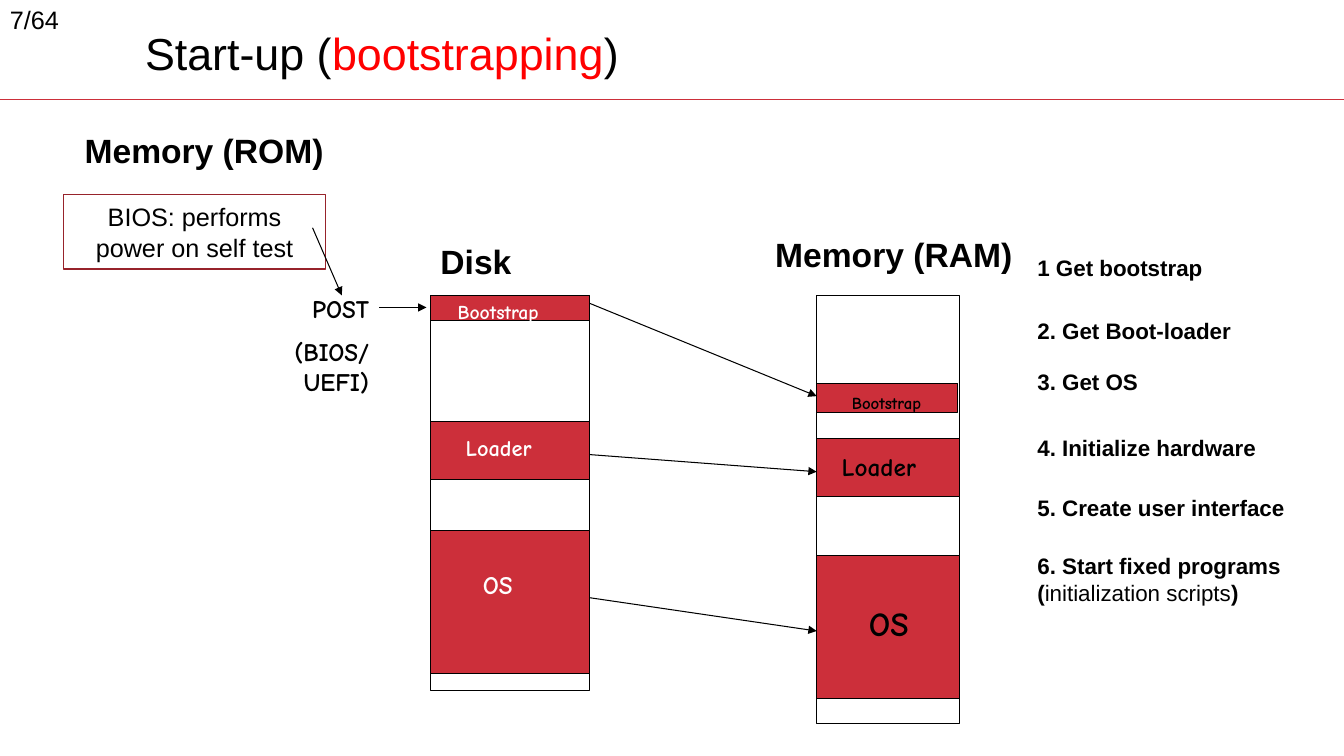
from dataclasses import dataclass
from typing import Optional

import lxml.etree
import pptx
import pptx.dml.color
import pptx.enum.shapes
import pptx.enum.text
import pptx.oxml.ns
import pptx.util

PX = 9144
ALIGN = pptx.enum.text.PP_ALIGN
ANCHOR = pptx.enum.text.MSO_ANCHOR


@dataclass(frozen=True)
class Theme:
    sans: str = "Arial"
    comic: str = "Comic Neue"
    black: str = "000000"
    white: str = "FFFFFF"
    block: str = "CC2F3A"
    accent: str = "FF0000"
    bios_edge: str = "97232B"
    title: int = 32
    heading: int = 24
    body: int = 18
    step: int = 16
    small: int = 14
    tiny: int = 12
    thin: float = 0.75
    rule: float = 1


THEME = Theme()


@dataclass(frozen=True)
class Box:
    left: int
    top: int
    width: int
    height: int


@dataclass(frozen=True)
class Run:
    text: str
    size: int
    color: str = THEME.black
    bold: bool = False
    font: str = THEME.sans


@dataclass(frozen=True)
class Label:
    box: Box
    paragraphs: list[list[Run]]
    align: ALIGN = ALIGN.LEFT
    anchor: ANCHOR = ANCHOR.TOP
    space_before: float = 0
    line_spacing: float = 1


@dataclass(frozen=True)
class Block:
    top: int
    height: int
    text: str
    size: int
    text_box: Box
    trim: int = 0


@dataclass(frozen=True)
class Store:
    box: Box
    text_color: str
    blocks: list[Block]


@dataclass(frozen=True)
class Arrow:
    x1: int
    y1: int
    x2: int
    y2: int


def rgb(color: str):
    return pptx.dml.color.RGBColor.from_string(color)


def emu(box: Box) -> list[int]:
    return [n * PX for n in (box.left, box.top, box.width, box.height)]


def write(frame, label: Label) -> None:
    frame.word_wrap = True
    frame.vertical_anchor = label.anchor
    for index, runs in enumerate(label.paragraphs):
        paragraph = frame.add_paragraph() if index else frame.paragraphs[0]
        paragraph.alignment = label.align
        paragraph.line_spacing = label.line_spacing
        if index:
            paragraph.space_before = pptx.util.Pt(label.space_before)
        for item in runs:
            run = paragraph.add_run()
            run.text = item.text
            run.font.name = item.font
            run.font.size = pptx.util.Pt(item.size)
            run.font.bold = item.bold
            run.font.color.rgb = rgb(item.color)


def add_label(slide, label: Label) -> None:
    write(slide.shapes.add_textbox(*emu(label.box)).text_frame, label)


def add_rect(slide, box: Box, fill: Optional[str] = None,
             edge: str = THEME.black, weight: float = THEME.thin):
    rect = slide.shapes.add_shape(
        pptx.enum.shapes.MSO_SHAPE.RECTANGLE, *emu(box))
    rect.shadow.inherit = False
    if fill:
        rect.fill.solid()
        rect.fill.fore_color.rgb = rgb(fill)
    else:
        rect.fill.background()
    rect.line.color.rgb = rgb(edge)
    rect.line.width = pptx.util.Pt(weight)
    return rect


def add_line(slide, span: Arrow, color: str = THEME.black,
             weight: float = THEME.thin, head: bool = True) -> None:
    line = slide.shapes.add_connector(
        pptx.enum.shapes.MSO_CONNECTOR.STRAIGHT,
        *(n * PX for n in (span.x1, span.y1, span.x2, span.y2)))
    line.line.color.rgb = rgb(color)
    line.line.width = pptx.util.Pt(weight)
    qn = pptx.oxml.ns.qn
    if head:
        lxml.etree.SubElement(
            line.line._get_or_add_ln(), qn("a:tailEnd"), type="triangle")
    lxml.etree.SubElement(line._element.spPr, qn("a:effectLst"))


def add_store(slide, store: Store) -> None:
    add_rect(slide, store.box)
    for block in store.blocks:
        add_rect(slide, Box(store.box.left, block.top,
                            store.box.width - block.trim, block.height),
                 THEME.block)
        run = Run(block.text, block.size, store.text_color, True, THEME.comic)
        add_label(slide, Label(block.text_box, [[run]]))


def heading(text: str, box: Box) -> Label:
    return Label(box, [[Run(text, THEME.heading, bold=True)]])


def step(top: int, text: str, note: str = "", close: str = "") -> Label:
    parts = [Run(text, THEME.step, bold=True)]
    if note:
        parts += [Run(note, THEME.step), Run(close, THEME.step, bold=True)]
    return Label(Box(1019, top, 292, 64 if note else 37), [parts])


DISK = Store(Box(427, 293, 158, 392), THEME.white, [
    Block(293, 25, "Bootstrap", THEME.small, Box(444, 293, 125, 34)),
    Block(418, 58, "Loader", THEME.step, Box(452, 426, 100, 37)),
    Block(526, 142, "OS", THEME.body, Box(469, 560, 83, 40)),
])
RAM = Store(Box(810, 293, 142, 425), THEME.black, [
    Block(380, 29, "Bootstrap", THEME.tiny, Box(835, 385, 131, 30), trim=2),
    Block(435, 58, "Loader", THEME.body, Box(825, 443, 126, 40)),
    Block(551, 142, "OS", THEME.heading, Box(852, 593, 83, 51)),
])
LOADS = [(301, 393), (451, 468), (593, 626)]
ARROWS = [Arrow(DISK.box.left + DISK.box.width, start, RAM.box.left, end)
          for start, end in LOADS]
ARROWS += [Arrow(376, 305, 423, 305), Arrow(310, 226, 339, 293)]

LABELS = [
    Label(Box(134, 21, 1124, 69), [[
        Run("Start-up (", THEME.title),
        Run("bootstrapping", THEME.title, THEME.accent),
        Run(")", THEME.title)]], anchor=ANCHOR.MIDDLE, line_spacing=0.9),
    Label(Box(0, -1, 138, 50), [[Run("7/64", THEME.body)]]),
    heading("Memory (ROM)", Box(74, 124, 591, 50)),
    heading("Disk", Box(427, 234, 142, 50)),
    heading("Memory (RAM)", Box(759, 227, 260, 50)),
    Label(Box(266, 286, 110, 116),
          [[Run(text, THEME.body, bold=True, font=THEME.comic)]
           for text in ("POST", "(BIOS/UEFI)")],
          align=ALIGN.RIGHT, space_before=9),
    step(247, "1 Get bootstrap"),
    step(310, "2. Get Boot-loader"),
    step(360, "3. Get OS"),
    step(426, "4. Initialize hardware"),
    step(485, "5. Create user interface"),
    step(543, "6. Start fixed programs (", "initialization scripts", ")"),
]
BIOS = Label(Box(63, 193, 260, 74),
             [[Run("BIOS: performs power on self test", THEME.body)]],
             ALIGN.CENTER, ANCHOR.MIDDLE)


def main() -> None:
    deck = pptx.Presentation()
    deck.slide_width, deck.slide_height = 1333 * PX, 750 * PX
    slide = deck.slides.add_slide(deck.slide_layouts[6])
    add_line(slide, Arrow(0, 99, 1333, 99), THEME.block, THEME.rule, False)
    for store in (DISK, RAM):
        add_store(slide, store)
    for label in LABELS:
        add_label(slide, label)
    bios = add_rect(slide, BIOS.box, THEME.white, THEME.bios_edge, THEME.rule)
    write(bios.text_frame, BIOS)
    for arrow in ARROWS:
        add_line(slide, arrow)
    deck.save("out.pptx")


if __name__ == "__main__":
    main()
